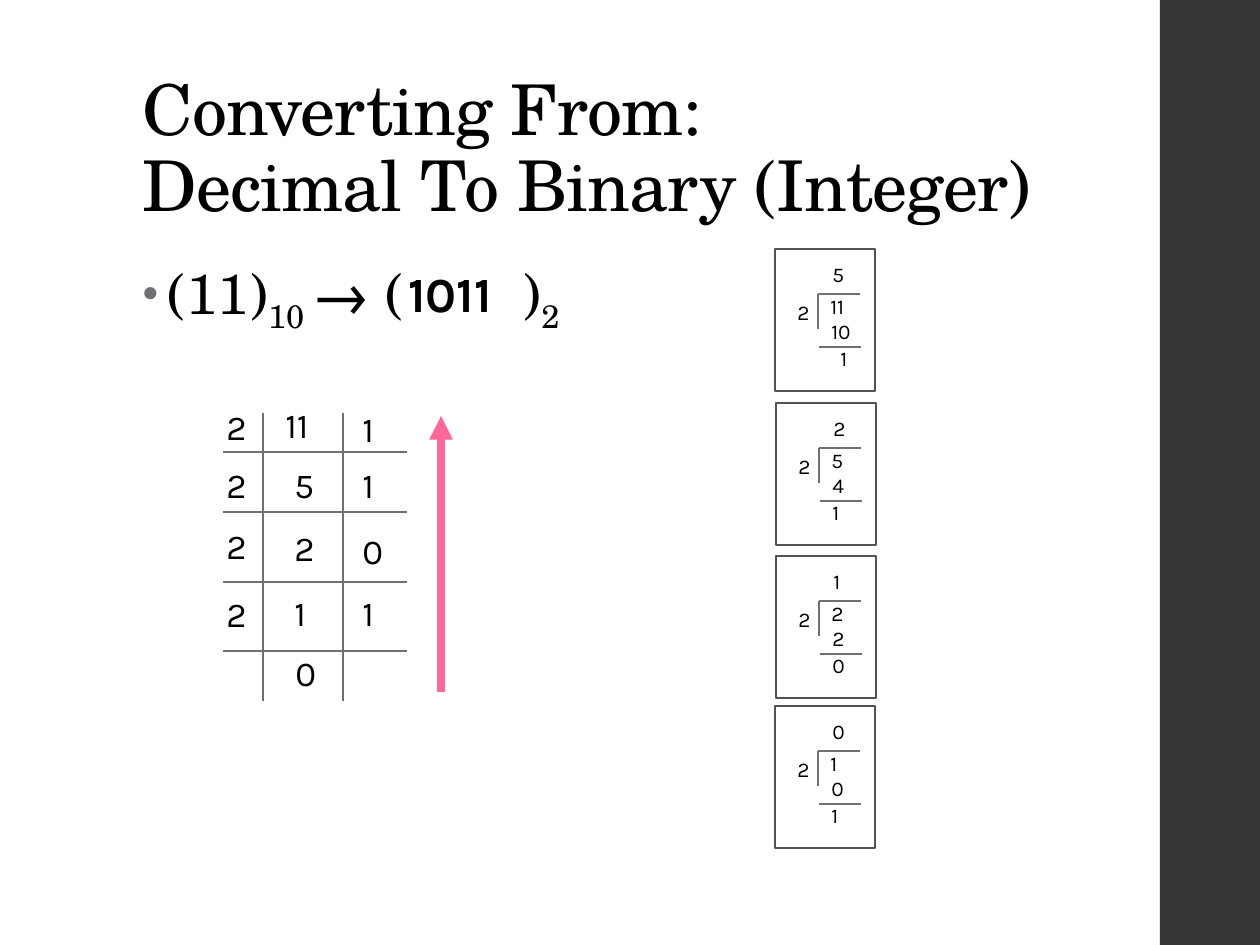
from lxml import etree
from pptx import Presentation
from pptx.dml.color import RGBColor
from pptx.enum.shapes import MSO_CONNECTOR, MSO_SHAPE
from pptx.enum.text import MSO_ANCHOR, MSO_AUTO_SIZE, PP_ALIGN
from pptx.oxml.ns import qn
from pptx.util import Pt

RECTANGLE = MSO_SHAPE.RECTANGLE
STRAIGHT = MSO_CONNECTOR.STRAIGHT
SCALE = 914400 / 126  # EMU per px

SERIF, SANS = "TeX Gyre Schola", "Karla"
COLORS = {"text": "000000", "rule": "6F6F74", "card": "525256",
          "sidebar": "353537", "arrow": "FF6699"}

TITLE = ["Converting From:", "Decimal To Binary (Integer)"]
# text, subscript
EQUATION = [("(11)", False), ("10 ", True), ("→ (\t)", False), ("2", True)]
CLOSING_TAB = 380
ANSWER = ("1011", 396, 257)

# Repeated division: text, left, top
LADDER = [
    ("2", 214, 399), ("11", 273, 397), ("1", 350, 401),
    ("2", 214, 457), ("5", 282, 457), ("1", 350, 457),
    ("2", 214, 518), ("2", 282, 520), ("0", 350, 523),
    ("2", 214, 586), ("1", 282, 585), ("1", 350, 585),
    ("0", 283, 645),
]
LADDER_LEFT, LADDER_RIGHT, LADDER_TOP, LADDER_BOTTOM = 223, 407, 413, 701
LADDER_ROWS = [452, 512, 582, 651]
LADDER_COLUMNS = [263, 343]

# Long division: left, top, (quotient, divisor, dividend, product, remainder)
CARDS = [
    (775, 249, ("5", "2", "11", "10", "1")),
    (776, 403, ("2", "2", "5", "4", "1")),
    (776, 556, ("1", "2", "2", "2", "0")),
    (775, 706, ("0", "2", "1", "0", "1")),
]
CARD_SIZE = (100, 142)
CARD_OFFSETS = [(45, 6), (10, 44), (43, 38), (44, 63), (44, 90)]
CARD_RULES = [(43, 45, 85, 45), (43, 80, 43, 45), (44, 98, 86, 98)]
UNITS_SHIFT = 9  # moves a remainder under the units of a two-digit product

# Box sizes by font size: one-digit width, width of each further digit, height
BOXES = {12: (37, 11, 38), 20: (44, 20, 55), 28: (52, 33, 72)}


def px(value):
    return round(value * SCALE)


def rgb(name):
    return RGBColor.from_string(COLORS[name])


def place(shape, left, top, width, height):
    shape.left, shape.top = px(left), px(top)
    shape.width, shape.height = px(width), px(height)


def style_run(run, font, size, bold=False, spacing=None):
    run.font.name, run.font.size, run.font.bold = font, Pt(size), bold
    run.font.color.rgb = rgb("text")
    if spacing is not None:
        run.font._element.set("spc", str(spacing))


def add_title(slide):
    title = slide.shapes.title
    place(title, 130, 50, 1002, 183)
    frame = title.text_frame
    frame.auto_size = MSO_AUTO_SIZE.NONE
    frame.vertical_anchor = MSO_ANCHOR.BOTTOM
    paragraph = frame.paragraphs[0]
    paragraph.alignment = PP_ALIGN.LEFT
    paragraph.line_spacing = 0.9
    for index, line in enumerate(TITLE):
        if index:
            paragraph.add_line_break()
        run = paragraph.add_run()
        run.text = line
        style_run(run, SERIF, 40, spacing=-50)


def add_equation(slide):
    body = slide.placeholders[1]
    place(body, 130, 252, 888, 600)
    body.text_frame.auto_size = MSO_AUTO_SIZE.NONE
    paragraph = body.text_frame.paragraphs[0]
    paragraph.line_spacing = 0.95
    paragraph.space_before, paragraph.space_after = Pt(0), Pt(2)
    properties = paragraph._p.get_or_add_pPr()
    properties.set("marL", str(px(25)))
    properties.set("indent", str(px(-25)))
    color = etree.SubElement(properties, qn("a:buClr"))
    etree.SubElement(color, qn("a:srgbClr"), val=COLORS["rule"])
    etree.SubElement(properties, qn("a:buSzPct"), val="80000")
    etree.SubElement(properties, qn("a:buChar"), char="•")
    tabs = etree.SubElement(properties, qn("a:tabLst"))
    etree.SubElement(tabs, qn("a:tab"), pos=str(px(CLOSING_TAB)), algn="l")
    for text, subscript in EQUATION:
        run = paragraph.add_run()
        run.text = text
        style_run(run, SERIF, 32, spacing=10)
        if subscript:
            run.font._element.set("baseline", "-25000")


def add_number(slide, text, left, top, size, bold=False):
    first, further, height = BOXES[size]
    box = slide.shapes.add_textbox(0, 0, 0, 0)
    place(box, left, top, first + further * (len(text) - 1), height)
    box.text_frame.word_wrap = False
    box.text_frame.auto_size = MSO_AUTO_SIZE.SHAPE_TO_FIT_TEXT
    run = box.text_frame.paragraphs[0].add_run()
    run.text = text
    style_run(run, SANS, size, bold)


def add_line(slide, ends, color="rule", width=0.75):
    line = slide.shapes.add_connector(STRAIGHT, *map(px, ends))
    line.line.color.rgb = rgb(color)
    line.line.width = Pt(width)
    etree.SubElement(line._element.spPr, qn("a:effectLst"))
    return line


def add_rectangle(slide, left, top, width, height):
    shape = slide.shapes.add_shape(RECTANGLE, *map(px, (left, top, width, height)))
    shape.shadow.inherit = False
    return shape


def add_ladder(slide):
    for y in LADDER_ROWS:
        add_line(slide, (LADDER_LEFT, y, LADDER_RIGHT, y))
    for x in LADDER_COLUMNS:
        add_line(slide, (x, LADDER_TOP, x, LADDER_BOTTOM))
    for text, left, top in LADDER:
        add_number(slide, text, left, top, 20)


def add_card(slide, left, top, numbers):
    card = add_rectangle(slide, left, top, *CARD_SIZE)
    card.fill.background()
    card.line.color.rgb = rgb("card")
    card.line.width = Pt(1.1)
    for x1, y1, x2, y2 in CARD_RULES:
        add_line(slide, (left + x1, top + y1, left + x2, top + y2))
    offsets = list(CARD_OFFSETS)
    if len(numbers[3]) > 1:
        x, y = offsets[-1]
        offsets[-1] = (x + UNITS_SHIFT, y)
    for text, (x, y) in zip(numbers, offsets):
        add_number(slide, text, left + x, top + y, 12)


def main():
    presentation = Presentation()
    presentation.slide_width, presentation.slide_height = px(1260), px(945)
    slide = presentation.slides.add_slide(presentation.slide_layouts[1])
    sidebar = add_rectangle(slide, 1160, 0, 100, 945)
    sidebar.fill.solid()
    sidebar.fill.fore_color.rgb = rgb("sidebar")
    sidebar.line.fill.background()
    add_title(slide)
    add_equation(slide)
    add_ladder(slide)
    for left, top, numbers in CARDS:
        add_card(slide, left, top, numbers)
    add_number(slide, *ANSWER, 28, bold=True)
    arrow = add_line(slide, (441, 692, 441, 416), "arrow", 4.5)
    etree.SubElement(arrow.line._ln, qn("a:tailEnd"), type="triangle")
    presentation.save("out.pptx")


if __name__ == "__main__":
    main()
